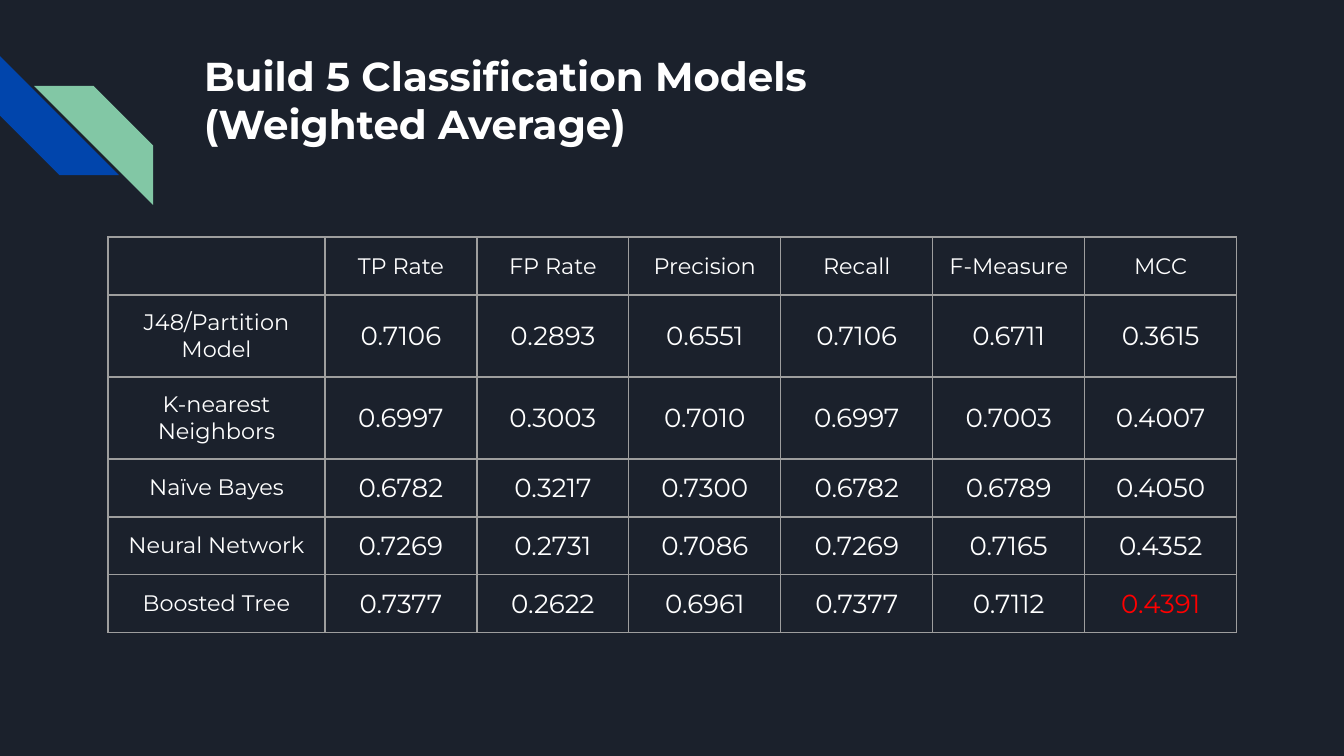
from lxml.etree import SubElement as Sub
from pptx import Presentation
from pptx.dml.color import RGBColor as RGB
from pptx.enum.shapes import MSO_SHAPE as Shape
from pptx.enum.text import MSO_ANCHOR as Anchor, MSO_AUTO_SIZE as Fit, PP_ALIGN as Align
from pptx.oxml.ns import qn
from pptx.util import Pt

PX = 6804
FONT = "Montserrat"
NAVY = RGB(0x1B, 0x21, 0x2C)
BLUE = RGB(0x01, 0x45, 0xAC)
GREEN = RGB(0x82, 0xC7, 0xA5)
WHITE = RGB(0xFF, 0xFF, 0xFF)
RED = RGB(0xFF, 0x00, 0x00)
GREY = RGB(0x9E, 0x9E, 0x9E)


def style(para, size, color, align, bold=False):
    para.alignment = align
    font = para.font
    font.name, font.size, font.bold = FONT, Pt(size), bold
    font.color.rgb = color


def border(cell):
    props = cell._tc.get_or_add_tcPr()
    for side in ("a:lnL", "a:lnR", "a:lnT", "a:lnB"):
        line = Sub(props, qn(side), w=str(Pt(0.75)))
        fill = Sub(line, qn("a:solidFill"))
        Sub(fill, qn("a:srgbClr"), val=str(GREY))


deck = Presentation()
deck.slide_width, deck.slide_height = 1344 * PX, 756 * PX
slide = deck.slides.add_slide(deck.slide_layouts[5])
slide.background.fill.solid()
slide.background.fill.fore_color.rgb = NAVY

for left, top, turn, color in ((0, 56, 270, BLUE), (34, 86, 90, GREEN)):
    stripe = slide.shapes.add_shape(
        Shape.DIAGONAL_STRIPE, left * PX, top * PX, 119 * PX, 119 * PX)
    stripe.adjustments[0] = 0.5
    stripe.rotation = turn
    stripe.shadow.inherit = False
    stripe.fill.solid()
    stripe.fill.fore_color.rgb = color
    stripe.line.fill.background()

title = slide.shapes.title
title.left, title.top, title.width, title.height = 191 * PX, 38 * PX, 1035 * PX, 129 * PX
frame = title.text_frame
frame.text = "Build 5 Classification Models\n(Weighted Average)"
frame.word_wrap = True
frame.auto_size = Fit.NONE
frame.vertical_anchor = Anchor.TOP
frame.margin_left = frame.margin_right = frame.margin_top = frame.margin_bottom = 13 * PX
for para in frame.paragraphs:
    style(para, 21.6, WHITE, Align.LEFT, True)

rows = [
    ("", "TP Rate", "FP Rate", "Precision", "Recall", "F-Measure", "MCC"),
    ("J48/Partition Model", "0.7106", "0.2893", "0.6551", "0.7106", "0.6711", "0.3615"),
    ("K-nearest Neighbors", "0.6997", "0.3003", "0.7010", "0.6997", "0.7003", "0.4007"),
    ("Naïve Bayes", "0.6782", "0.3217", "0.7300", "0.6782", "0.6789", "0.4050"),
    ("Neural Network", "0.7269", "0.2731", "0.7086", "0.7269", "0.7165", "0.4352"),
    ("Boosted Tree", "0.7377", "0.2622", "0.6961", "0.7377", "0.7112", "0.4391"),
]
wide = [217] + [152] * 6
tall = [58, 82, 82, 58, 58, 58]
table = slide.shapes.add_table(
    len(rows), len(wide), 108 * PX, 237 * PX, sum(wide) * PX, sum(tall) * PX).table
table.first_row = table.horz_banding = False
for col, width in zip(table.columns, wide):
    col.width = width * PX
for row, height in zip(table.rows, tall):
    row.height = height * PX

for r, row in enumerate(rows):
    for c, text in enumerate(row):
        cell = table.cell(r, c)
        cell.text = text
        cell.vertical_anchor = Anchor.MIDDLE
        cell.margin_left = cell.margin_right = cell.margin_top = cell.margin_bottom = 13 * PX
        border(cell)
        cell.fill.background()
        para = cell.text_frame.paragraphs[0]
        size = 14 if r and c else 12
        style(para, size, RED if text == "0.4391" else WHITE, Align.CENTER)
        if not text:
            Sub(para._p, qn("a:endParaRPr"), sz=str(size * 100))

deck.save("out.pptx")
